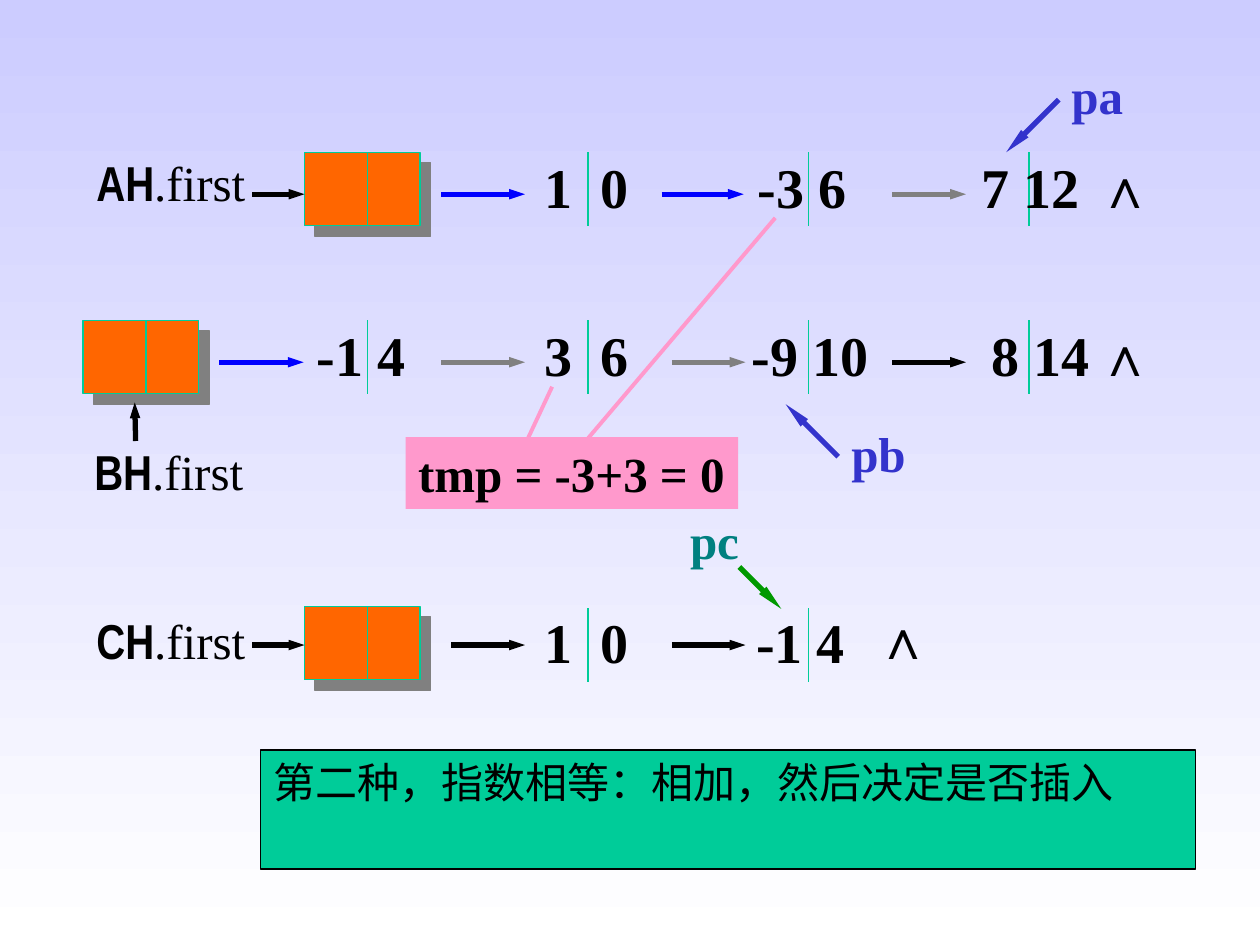
from lxml import etree
from pptx import Presentation
from pptx import util as u
from pptx.dml.color import RGBColor
from pptx.enum import shapes, text
from pptx.oxml import ns

BLACK = RGBColor(0x00, 0x00, 0x00)
GRAY = RGBColor(0x80, 0x80, 0x80)
BLUE = RGBColor(0x00, 0x00, 0xFF)
INDIGO = RGBColor(0x33, 0x33, 0xCC)
GREEN = RGBColor(0x00, 0x99, 0x00)
TEAL = RGBColor(0x00, 0x80, 0x80)
MINT = RGBColor(0x00, 0xCC, 0x99)
ORANGE = RGBColor(0xFF, 0x66, 0x00)
PINK = RGBColor(0xFF, 0x99, 0xCC)
LAVENDER = RGBColor(0xCC, 0xCC, 0xFF)
WHITE = RGBColor(0xFF, 0xFF, 0xFF)

SERIF, NARROW = "Times New Roman", "Arial Narrow"
ROW_A, ROW_B, ROW_C = 87, 183, 346.5
NODE_H = 42


class ListDiagram:
    """Draws linked-list parts on the current slide, with lengths in points."""

    def __init__(self, slide):
        self.s = slide
        self.font = SERIF
        self.node_size = 32
        self.label_size = 28

    def background(self, top, bottom):
        fill = self.s.background.fill
        fill.gradient()
        fill.gradient_angle = 270
        for stop, color in zip(fill.gradient_stops, (top, bottom)):
            stop.color.rgb = color

    def add_runs(self, sp, runs, size, color=BLACK, wrap=False, centered=False):
        tf = sp.text_frame
        tf.word_wrap = wrap
        tf.vertical_anchor = text.MSO_ANCHOR.MIDDLE if centered else text.MSO_ANCHOR.TOP
        p = tf.paragraphs[0]
        p.alignment = text.PP_ALIGN.CENTER if centered else text.PP_ALIGN.LEFT
        for words, font, bold in runs:
            r = p.add_run()
            r.text = words
            r.font.name = font
            r.font.size = u.Pt(size)
            r.font.bold = bold
            r.font.color.rgb = color
        return p

    def textbox(self, x, y, w, h, runs, size, **style):
        sp = self.s.shapes.add_textbox(u.Pt(x), u.Pt(y), u.Pt(w), u.Pt(h))
        return self.add_runs(sp, runs, size, **style)

    def rect(self, x, y, w, h, fill, line=None):
        sp = self.s.shapes.add_shape(
            shapes.MSO_SHAPE.RECTANGLE, u.Pt(x), u.Pt(y), u.Pt(w), u.Pt(h))
        sp.shadow.inherit = False
        sp.fill.solid()
        sp.fill.fore_color.rgb = fill
        if line is None:
            sp.line.fill.background()
        else:
            sp.line.color.rgb = line
            sp.line.width = u.Pt(0.75)
        return sp

    def line(self, x1, y1, x2, y2, color, width):
        sp = self.s.shapes.add_connector(
            shapes.MSO_CONNECTOR.STRAIGHT, u.Pt(x1), u.Pt(y1), u.Pt(x2), u.Pt(y2))
        sp.line.color.rgb = color
        sp.line.width = u.Pt(width)
        etree.SubElement(sp._element.spPr, ns.qn("a:effectLst"))
        return sp

    def arrow(self, x1, y1, x2, y2, color, length="med"):
        sp = self.line(x1, y1, x2, y2, color, 3)
        etree.SubElement(sp.line._get_or_add_ln(), ns.qn("a:tailEnd"),
                         type="triangle", w="sm", len=length)

    def divider(self, x, y):
        self.line(x, y, x, y + NODE_H, MINT, 0.75)

    def head_node(self, x, y):
        sp = self.rect(x, y, 66, NODE_H, ORANGE, MINT)
        effects = sp._element.spPr.find(ns.qn("a:effectLst"))
        shadow = etree.SubElement(effects, ns.qn("a:outerShdw"), blurRad="0",
                                  dist=str(u.Pt(8.5)), dir="2700000",
                                  algn="ctr", rotWithShape="0")
        etree.SubElement(shadow, ns.qn("a:srgbClr"), val=str(GRAY))
        self.divider(x + 36, y)

    def head_label(self, x, y, name):
        runs = [(name, NARROW, True), (".first", self.font, False)]
        self.textbox(x, y, 100, 41, runs, self.label_size)

    def node_text(self, x, y, w, words):
        p = self.textbox(x, y, w, 45.5, [(words, self.font, True)], self.node_size)
        if "\t" in words:
            tabs = etree.SubElement(p._p.get_or_add_pPr(), ns.qn("a:tabLst"))
            etree.SubElement(tabs, ns.qn("a:tab"), pos=str(u.Pt(32)), algn="l")

    def pointer(self, x, y, w, name, color):
        self.textbox(x, y, w, 41, [(name, self.font, True)], self.label_size,
                     color=color, centered=True)

    def panel(self, x, y, w, h, words, size, fill, line=None, bold=False, wrap=False):
        sp = self.rect(x, y, w, h, fill, line)
        self.add_runs(sp, [(words, self.font, bold)], size, wrap=wrap)


def main():
    prs = Presentation()
    prs.slide_width, prs.slide_height = u.Pt(720), u.Pt(540)
    d = ListDiagram(prs.slides.add_slide(prs.slide_layouts[6]))
    d.background(LAVENDER, WHITE)

    for x, y in ((174, ROW_A), (47.5, ROW_B), (174, ROW_C)):
        d.head_node(x, y)
    for x, y, name in ((48, 83.5, "AH"), (46.8, 248.5, "BH"), (48, 345.6, "CH")):
        d.head_label(x, y, name)

    for y, columns in ((ROW_A, (1, 2, 3)), (ROW_B, (0, 1, 2, 3)), (ROW_C + 1, (1, 2))):
        for column in columns:
            d.divider(210 + 126 * column, y)

    rows = (
        (83.5, ((304, 62.5, "1\t0"), (426, 65, "-3 6"),
                (553.7, 70.5, "7 12"), (620, 34, "∧"))),
        (179.5, ((174, 65, "-1 4"), (304, 62.5, "3\t6"), (422.6, 81.5, "-9 10"),
                 (559.4, 70.5, "8 14"), (620, 34, "∧"))),
        (343.5, ((304, 62.5, "1\t0"), (425, 65, "-1 4"))),
        (341.3, ((493.2, 34, "∧"),)),
    )
    for y, nodes in rows:
        for x, w, words in nodes:
            d.node_text(x, y, w, words)

    links = (
        (111, ((144, 174, BLACK), (252, 300, BLUE), (378, 425, BLUE), (510, 552, GRAY))),
        (207, ((125.3, 173.5, BLUE), (252, 300, GRAY), (384, 426, GRAY), (510, 552, BLACK))),
        (368.6, ((144, 174, BLACK), (258, 300, BLACK), (384, 426, BLACK))),
    )
    for y, spans in links:
        for start, end, color in spans:
            d.arrow(start, y, end, y, color)
    d.arrow(77.5, 252, 77, 230, BLACK)

    d.arrow(605, 57, 575, 87, INDIGO, "lg")
    d.pointer(605, 34, 44, "pa", INDIGO)
    d.arrow(479, 261, 449, 231, INDIGO, "lg")
    d.pointer(479, 238.5, 46, "pb", INDIGO)
    d.arrow(422.5, 324, 446.5, 348, GREEN, "lg")
    d.pointer(387, 288, 42.5, "pc", TEAL)

    d.panel(231.8, 249.8, 190, 41, "tmp = -3+3 = 0", d.label_size, PINK, bold=True)
    d.line(301, 252, 315.5, 221, PINK, 2.25)
    d.line(336, 250.5, 443, 124.5, PINK, 2.25)

    d.panel(149, 428.6, 534.3, 68, "第二种，指数相等：相加，然后决定是否插入", 24,
            MINT, BLACK, wrap=True)
    prs.save("out.pptx")


if __name__ == "__main__":
    main()
